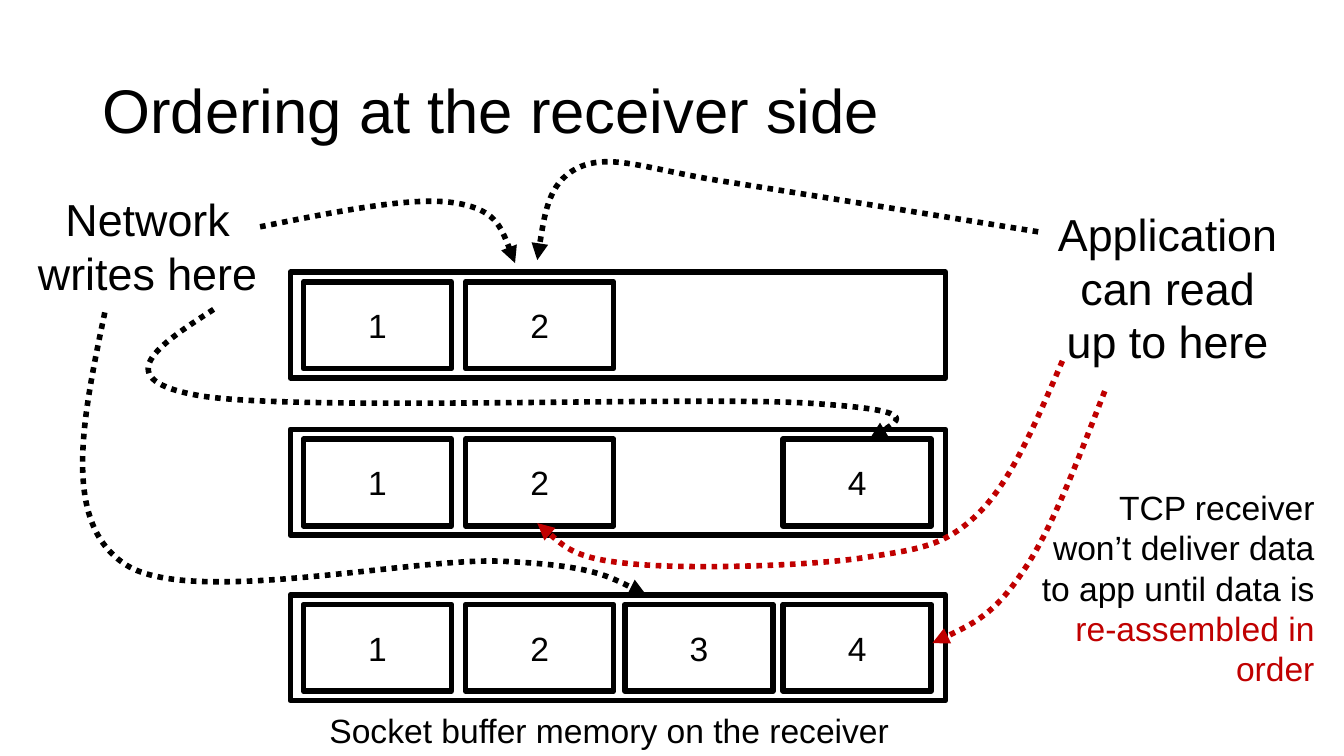
from lxml import etree
from pptx import Presentation
from pptx.dml.color import RGBColor
from pptx.enum import dml, shapes, text
from pptx.oxml import ns
from pptx.util import Pt

BLACK = RGBColor(0, 0, 0)
RED = RGBColor(0xC0, 0, 0)
FONT = "Arial"
LINE_WIDTH = 4
LEFT, CENTER, RIGHT = text.PP_ALIGN.LEFT, text.PP_ALIGN.CENTER, text.PP_ALIGN.RIGHT

TITLE = "Ordering at the receiver side"
TITLE_AREA = (66, 28.8, 828, 104.4)

BUFFER_LEFT, BUFFER_WIDTH, BUFFER_HEIGHT = 207.4, 468, 75.6
SEGMENT_WIDTH, SEGMENT_HEIGHT, SEGMENT_INSET = 105.8, 61.9, 7
SEGMENT_LEFTS = {1: 216.7, 2: 332.6, 3: 446.4, 4: 559.4}
BUFFERS = [(194.4, [1, 2]), (306.7, [1, 2, 4]), (424.8, [1, 2, 4, 3])]

NOTES = [
    ((743, 144, 182.2, 123.8), CENTER, 32, [("Application can read up to here", BLACK)]),
    ((14.4, 133.2, 182.2, 85), CENTER, 32, [("Network writes here", BLACK)]),
    ((228.2, 503.3, 560.2, 36), LEFT, 24, [("Socket buffer memory on the receiver", BLACK)]),
    ((735.8, 344.2, 210.2, 152.6), RIGHT, 24, [
        ("TCP receiver won’t deliver data to app until data is ", BLACK),
        ("re-assembled in order", RED),
    ]),
]

ARROWS = [
    (BLACK, [(185.8, 162), (239.8, 151.2), (293, 140.4), (323.3, 144.7),
             (354.2, 149), (360.7, 168.5), (367.9, 187.9)]),
    (BLACK, [(741.6, 165.6), (668.4, 153.8), (595.2, 142), (522, 130.3),
             (467.3, 122.4), (438.5, 109.4), (415.4, 118.8),
             (392.4, 128.2), (388.1, 157), (383.8, 185.8)]),
    (BLACK, [(152.6, 221), (113.8, 246.2), (74.2, 271.4), (144.7, 283),
             (216, 293.8), (498.2, 283), (577.4, 288),
             (657.4, 293), (639.4, 303.1), (621.4, 313.2)]),
    (RED, [(758.9, 257.8), (740.2, 301), (722.2, 344.2), (698.4, 367.2),
           (673.9, 391), (655.2, 392.4), (613.4, 398.9),
           (571.7, 404.6), (486.7, 406.8), (448.6, 402.5),
           (410.4, 398.9), (397.4, 385.9), (383.8, 373.7)]),
    (BLACK, [(74.9, 223.2), (59, 298.8), (43.2, 374.4), (90.7, 403.9),
             (138.2, 433.4), (298, 397.4), (360, 401),
             (421.9, 403.9), (441.4, 414.7), (461.5, 424.8)]),
    (RED, [(789.1, 279.4), (769.7, 329), (751, 379.4), (730.1, 409),
           (709.9, 439.2), (687.6, 449.3), (666, 459.4)]),
]


def add_span(para, words, size=24, color=BLACK):
    span = para.add_run()
    span.text = words
    span.font.name = FONT
    span.font.size = Pt(size)
    span.font.color.rgb = color


def add_rectangle(page, left, top, width, height):
    box = page.shapes.add_shape(
        shapes.MSO_SHAPE.RECTANGLE, Pt(left), Pt(top), Pt(width), Pt(height))
    box.shadow.inherit = False
    box.fill.background()
    box.line.color.rgb = BLACK
    box.line.width = Pt(LINE_WIDTH)
    return box


def add_title(page):
    title = page.shapes.title
    title.left, title.top, title.width, title.height = map(Pt, TITLE_AREA)
    frame = title.text_frame
    frame.auto_size = text.MSO_AUTO_SIZE.NONE
    frame.vertical_anchor = text.MSO_ANCHOR.MIDDLE
    para = frame.paragraphs[0]
    para.alignment = LEFT
    para.line_spacing = 0.9
    add_span(para, TITLE, size=44)


def add_buffer(page, top, numbers):
    add_rectangle(page, BUFFER_LEFT, top, BUFFER_WIDTH, BUFFER_HEIGHT)
    for number in numbers:
        segment = add_rectangle(page, SEGMENT_LEFTS[number], top + SEGMENT_INSET,
                                SEGMENT_WIDTH, SEGMENT_HEIGHT)
        frame = segment.text_frame
        frame.vertical_anchor = text.MSO_ANCHOR.MIDDLE
        frame.paragraphs[0].alignment = CENTER
        add_span(frame.paragraphs[0], str(number))


def add_note(page, area, alignment, size, spans):
    frame = page.shapes.add_textbox(*map(Pt, area)).text_frame
    frame.word_wrap = True
    para = frame.paragraphs[0]
    para.alignment = alignment
    for words, color in spans:
        add_span(para, words, size=size, color=color)


def point_on_curve(controls, t):
    weights = ((1 - t) ** 3, 3 * t * (1 - t) ** 2, 3 * t ** 2 * (1 - t), t ** 3)
    return tuple(sum(w * point[axis] for w, point in zip(weights, controls))
                 for axis in (0, 1))


def add_curved_arrow(page, color, points, steps=16):
    outline = [point_on_curve(points[i:i + 4], step / steps)
               for i in range(0, len(points) - 1, 3) for step in range(steps + 1)]
    builder = page.shapes.build_freeform(*map(Pt, outline[0]))
    builder.add_line_segments([(Pt(x), Pt(y)) for x, y in outline[1:]], close=False)
    arrow = builder.convert_to_shape()

    track = arrow._element.xpath(".//a:path")[0]
    for child in list(track):
        track.remove(child)
    groups = [("a:moveTo", points[:1])]
    groups += [("a:cubicBezTo", points[i:i + 3]) for i in range(1, len(points), 3)]
    for tag, group in groups:
        command = etree.SubElement(track, ns.qn(tag))
        for x, y in group:
            etree.SubElement(command, ns.qn("a:pt"),
                             x=str(Pt(x) - arrow.left), y=str(Pt(y) - arrow.top))

    arrow.shadow.inherit = False
    arrow.fill.background()
    arrow.line.color.rgb = color
    arrow.line.width = Pt(LINE_WIDTH)
    arrow.line.dash_style = dml.MSO_LINE.ROUND_DOT
    etree.SubElement(arrow.line._get_or_add_ln(), ns.qn("a:tailEnd"), type="triangle")


def main():
    deck = Presentation()
    deck.slide_width, deck.slide_height = Pt(960), Pt(540)
    page = deck.slides.add_slide(deck.slide_layouts[5])
    add_title(page)
    for buffer in BUFFERS:
        add_buffer(page, *buffer)
    for note in NOTES:
        add_note(page, *note)
    for arrow in ARROWS:
        add_curved_arrow(page, *arrow)
    deck.save("out.pptx")


if __name__ == "__main__":
    main()
